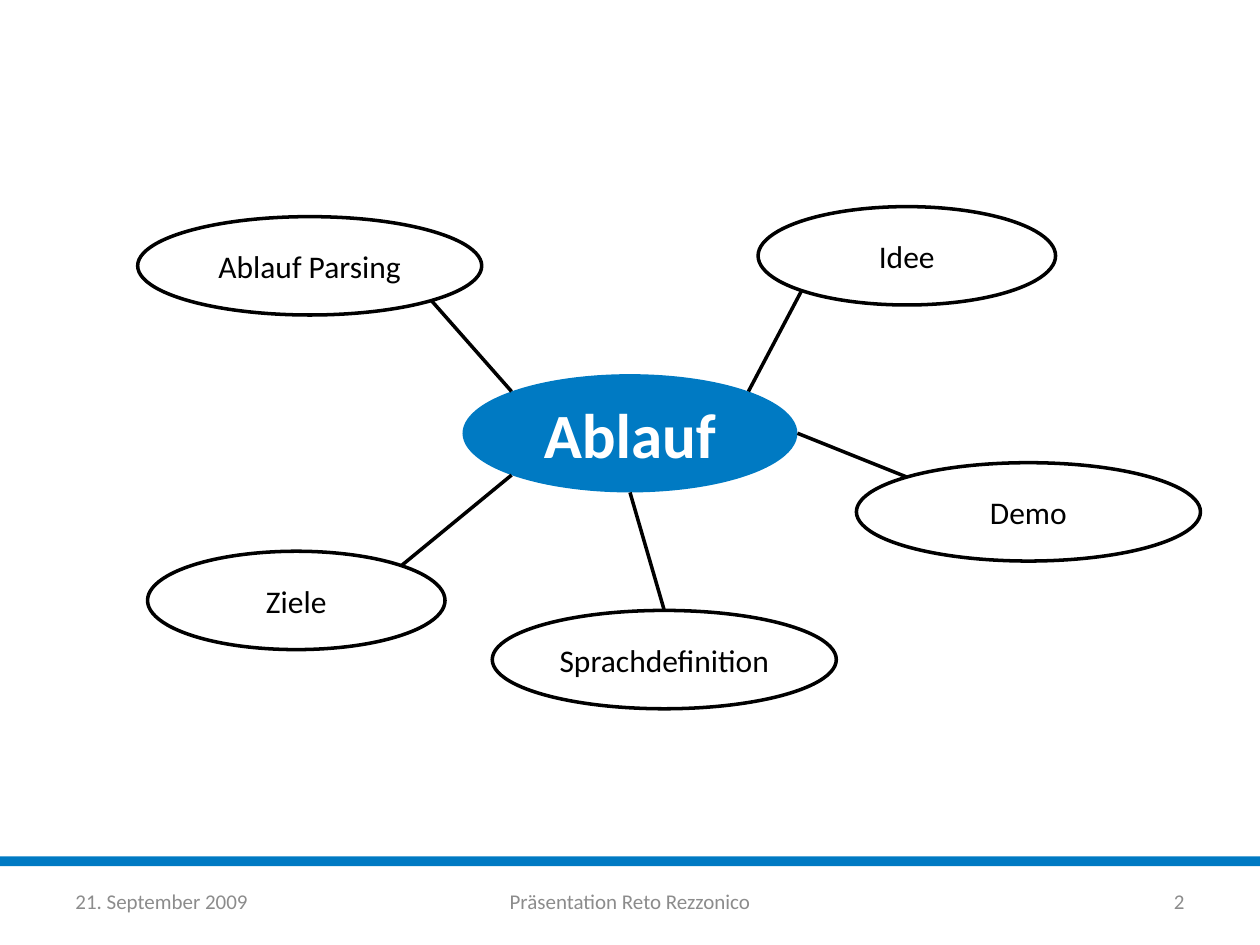
from dataclasses import dataclass
from math import cos, radians, sin

from lxml.etree import SubElement
from pptx import Presentation
from pptx.dml.color import RGBColor
from pptx.enum.shapes import MSO_CONNECTOR, MSO_SHAPE
from pptx.enum.text import MSO_ANCHOR, PP_ALIGN
from pptx.oxml.ns import qn
from pptx.util import Pt

COLOURS = {"blue": "007AC3", "black": "000000", "white": "FFFFFF", "grey": "8C8C8C"}
FONT = "Calibri"
LINE_WIDTH = 2


@dataclass(frozen=True)
class Oval:
    text: str
    left: float
    top: float
    width: float
    height: float = 56.2

    def site(self, angle: float) -> tuple[float, float]:
        """Point on the outline, clockwise in degrees from the right-hand end."""
        turn = radians(angle)
        return (self.left + self.width / 2 * (1 + cos(turn)),
                self.top + self.height / 2 * (1 + sin(turn)))


@dataclass(frozen=True)
class Branch:
    oval: Oval
    oval_angle: float
    hub_angle: float


@dataclass(frozen=True)
class FooterItem:
    text: str
    left: float
    width: float
    align: PP_ALIGN


NARROW, WIDE = 170, 196.6
HUB = Oval("Ablauf", 264.3, 213.8, 191.4, 67.6)
BRANCHES = [
    Branch(Oval("Idee", 433.2, 118.1, NARROW), 135, 315),
    Branch(Oval("Ziele", 84.3, 315, NARROW), 315, 135),
    Branch(Oval("Sprachdefinition", 281.3, 348.8, WIDE), 270, 90),
    Branch(Oval("Ablauf Parsing", 78.7, 123.8, WIDE), 45, 225),
    Branch(Oval("Demo", 489.4, 264.4, WIDE), 225, 0),
]
FOOTER = [
    FooterItem("21. September 2009", 36, 168, PP_ALIGN.LEFT),
    FooterItem("Präsentation Reto Rezzonico", 246, 228, PP_ALIGN.CENTER),
    FooterItem("2", 516, 168, PP_ALIGN.RIGHT),
]


def colour(name: str) -> RGBColor:
    return RGBColor.from_string(COLOURS[name])


def write(box, text: str, *, size: float, ink: str, bold: bool = False,
          align: PP_ALIGN = PP_ALIGN.CENTER) -> None:
    frame = box.text_frame
    frame.word_wrap = True
    frame.vertical_anchor = MSO_ANCHOR.MIDDLE
    para = frame.paragraphs[0]
    para.alignment = align
    span = para.add_run()
    span.text = text
    span.font.name = FONT
    span.font.size = Pt(size)
    span.font.bold = bold
    span.font.color.rgb = colour(ink)


def add_preset(page, kind: MSO_SHAPE, left: float, top: float, width: float,
               height: float, *, fill: str | None = None, line: str | None = None):
    shape = page.shapes.add_shape(kind, Pt(left), Pt(top), Pt(width), Pt(height))
    shape.shadow.inherit = False
    if fill:
        shape.fill.solid()
        shape.fill.fore_color.rgb = colour(fill)
    else:
        shape.fill.background()
    if line:
        shape.line.color.rgb = colour(line)
        shape.line.width = Pt(LINE_WIDTH)
    else:
        shape.line.fill.background()
    return shape


def add_oval(page, oval: Oval, *, size: float, ink: str, bold: bool = False,
             fill: str | None = None, line: str | None = None) -> None:
    shape = add_preset(page, MSO_SHAPE.OVAL, oval.left, oval.top, oval.width,
                       oval.height, fill=fill, line=line)
    write(shape, oval.text, size=size, ink=ink, bold=bold)


def add_spoke(page, branch: Branch) -> None:
    ends = (*branch.oval.site(branch.oval_angle), *HUB.site(branch.hub_angle))
    spoke = page.shapes.add_connector(MSO_CONNECTOR.STRAIGHT, *map(Pt, ends))
    spoke.line.color.rgb = colour("black")
    spoke.line.width = Pt(LINE_WIDTH)
    SubElement(spoke._element.spPr, qn("a:effectLst"))


def add_footer_item(page, item: FooterItem) -> None:
    box = page.shapes.add_textbox(Pt(item.left), Pt(500.5), Pt(item.width), Pt(28.8))
    write(box, item.text, size=12, ink="grey", align=item.align)


deck = Presentation()
deck.slide_width, deck.slide_height = Pt(720), Pt(540)
page = deck.slides.add_slide(deck.slide_layouts[6])

# Footer band and texts
add_preset(page, MSO_SHAPE.RECTANGLE, 0, 489.4, 720, 5.6, fill="blue")
for item in FOOTER:
    add_footer_item(page, item)

# Mind map: hub, then each topic with its spoke
add_oval(page, HUB, size=36, ink="white", bold=True, fill="blue")
for branch in BRANCHES:
    add_spoke(page, branch)
    add_oval(page, branch.oval, size=18, ink="black", line="black")

deck.save("out.pptx")
